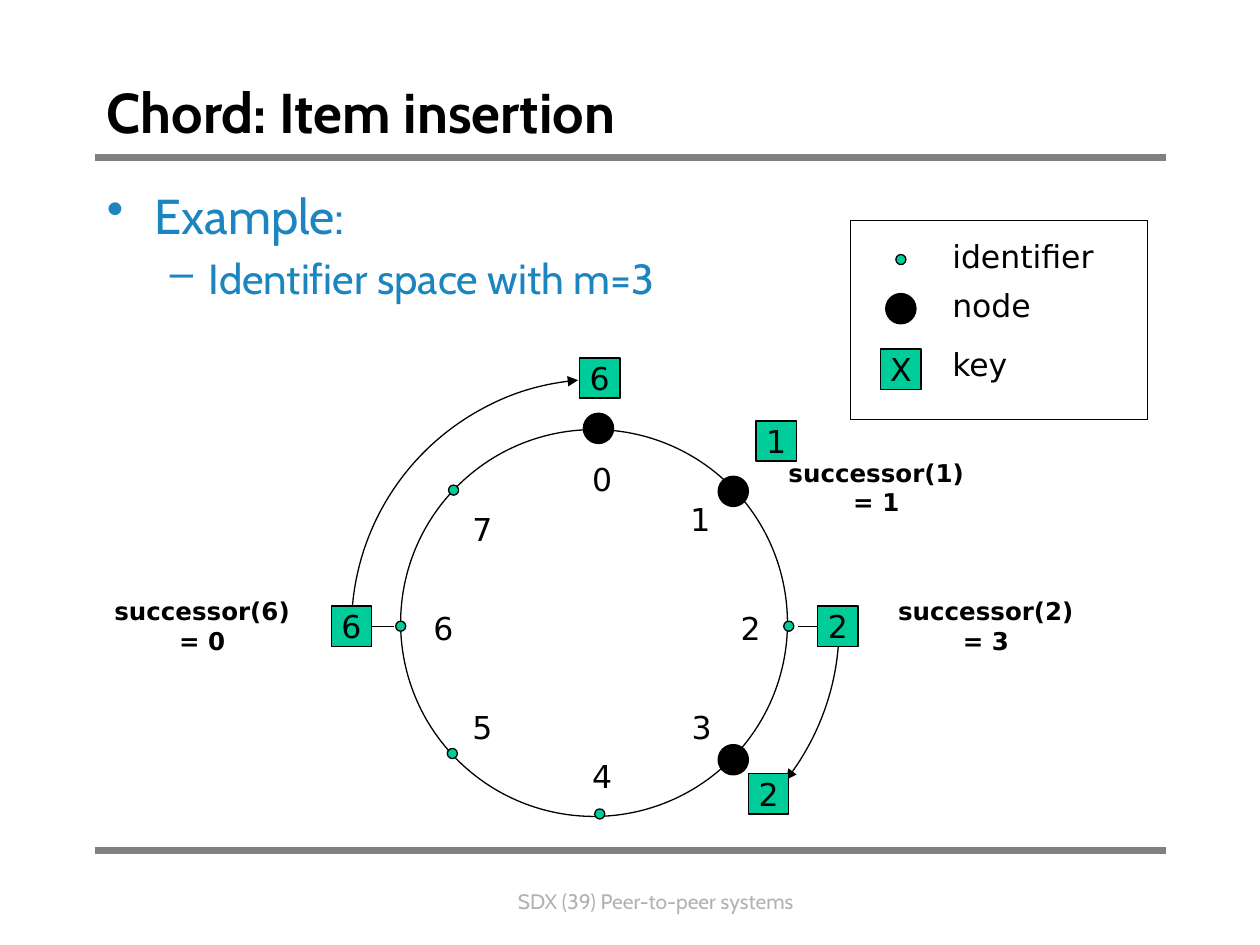
from lxml import etree
from pptx import Presentation
from pptx.dml.color import RGBColor
from pptx.enum.shapes import MSO_CONNECTOR, MSO_SHAPE
from pptx.enum.text import MSO_ANCHOR, PP_ALIGN
from pptx.oxml.ns import qn
from pptx.util import Inches, Pt

STRAIGHT = MSO_CONNECTOR.STRAIGHT
ARC, OVAL, RECTANGLE = MSO_SHAPE.ARC, MSO_SHAPE.OVAL, MSO_SHAPE.RECTANGLE
TOP, MIDDLE = MSO_ANCHOR.TOP, MSO_ANCHOR.MIDDLE
LEFT, CENTER = PP_ALIGN.LEFT, PP_ALIGN.CENTER

HEADING_FONT, DIAGRAM_FONT = "Cabin", "DejaVu Sans"
BLACK, GREEN, BLUE = "000000", "00CC99", "1C85C0"
RULE_GRAY, FOOTER_GRAY = "808080", "B2B2B2"
KEY_SIZE, NODE_SIZE, DOT_SIZE = 0.32, 0.24, 0.08


def color(hex_value):
    return RGBColor.from_string(hex_value)


def style_runs(paragraph, size, font, hex_value, bold=False):
    for run in paragraph.runs:
        run.font.size = Pt(size)
        run.font.name = font
        run.font.bold = bold
        run.font.color.rgb = color(hex_value)


def add_label(slide, text, left, top, width, height, size=18, font=DIAGRAM_FONT,
              hex_value=BLACK, bold=False, align=CENTER, anchor=MIDDLE, wrap=False):
    label = slide.shapes.add_textbox(Inches(left), Inches(top), Inches(width), Inches(height))
    frame = label.text_frame
    frame.text = text
    frame.word_wrap = wrap
    frame.vertical_anchor = anchor
    frame.paragraphs[0].alignment = align
    style_runs(frame.paragraphs[0], size, font, hex_value, bold)


def add_outlined(slide, kind, left, top, width, height, fill=None):
    outlined = slide.shapes.add_shape(kind, Inches(left), Inches(top), Inches(width), Inches(height))
    outlined.shadow.inherit = False
    if fill:
        outlined.fill.solid()
        outlined.fill.fore_color.rgb = color(fill)
    else:
        outlined.fill.background()
    outlined.line.color.rgb = color(BLACK)
    outlined.line.width = Pt(0.75)
    return outlined


def add_circle(slide, x, y, size, fill):
    add_outlined(slide, OVAL, x - size / 2, y - size / 2, size, size, fill)


def add_key(slide, text, left, top):
    key = add_outlined(slide, RECTANGLE, left, top, KEY_SIZE, KEY_SIZE, GREEN)
    frame = key.text_frame
    frame.text = text
    frame.word_wrap = False
    frame.vertical_anchor = MIDDLE
    frame.paragraphs[0].alignment = CENTER
    style_runs(frame.paragraphs[0], 18, DIAGRAM_FONT, BLACK)
    return key


def add_line(slide, x1, y1, x2, y2, hex_value=BLACK, width=0.75):
    line = slide.shapes.add_connector(STRAIGHT, Inches(x1), Inches(y1), Inches(x2), Inches(y2))
    line.line.color.rgb = color(hex_value)
    line.line.width = Pt(width)
    etree.SubElement(line._element.spPr, qn("a:effectLst"))
    return line


def add_arc_arrow(slide, x, y, radius, start, end):
    arc = add_outlined(slide, ARC, x - radius, y - radius, 2 * radius, 2 * radius)
    for index, degrees in enumerate((start, end)):
        arc.adjustments[index] = degrees * 0.6
    etree.SubElement(arc.line._get_or_add_ln(), qn("a:tailEnd"), type="triangle")


def add_frame(slide, left, width):
    for y in (1.25, 6.75):
        add_line(slide, left, y, left + width, y, RULE_GRAY, 4.5)
    add_label(slide, "SDX (39) Peer-to-peer systems", 2.33, 7, 5.75, 0.3, 12,
              HEADING_FONT, FOOTER_GRAY, anchor=TOP, wrap=True)
    add_label(slide, "Chord: Item insertion", left, 0.42, width, 0.92, 32,
              HEADING_FONT, BLACK, bold=True, align=LEFT, wrap=True)


def add_bullets(slide, left, top, width, height):
    body = slide.shapes.add_textbox(Inches(left), Inches(top), Inches(width), Inches(height))
    frame = body.text_frame
    frame.word_wrap = True
    bullets = [("Example:", "•", 28, 0.38, 0.38, 0),
               ("Identifier space with m=3", "–", 24, 0.81, 0.31, 5)]
    for index, (text, mark, size, margin, hanging, gap) in enumerate(bullets):
        paragraph = frame.add_paragraph() if index else frame.paragraphs[0]
        paragraph.text = text
        paragraph.level = index
        paragraph.space_before = Pt(gap)
        properties = paragraph._p.get_or_add_pPr()
        properties.set("marL", str(Inches(margin)))
        properties.set("indent", str(-Inches(hanging)))
        etree.SubElement(properties, qn("a:buChar"), char=mark)
        style_runs(paragraph, size, HEADING_FONT, BLUE)


def add_ring(slide, left, top, size):
    add_outlined(slide, OVAL, left, top, size, size)
    label_centers = [(1.58, 0.39), (2.36, 0.71), (2.76, 1.57), (2.37, 2.36),
                     (1.58, 2.75), (0.63, 2.36), (0.32, 1.57), (0.63, 0.79)]
    for identifier, (x, y) in enumerate(label_centers):
        add_label(slide, str(identifier), left + x - KEY_SIZE / 2, top + y - KEY_SIZE / 2,
                  KEY_SIZE, KEY_SIZE)
    for x, y in [(0.42, 0.48), (0.41, 2.57), (0, 1.56), (3.08, 1.56), (1.58, 3.05)]:
        add_circle(slide, left + x, top + y, DOT_SIZE, GREEN)
    for x, y in [(1.57, -0.01), (2.64, 0.49), (2.64, 2.62)]:
        add_circle(slide, left + x, top + y, NODE_SIZE, BLACK)


def add_keys(slide, left, top):
    add_arc_arrow(slide, left + 1.58, top + 1.57, 1.97, 180, 265)
    add_arc_arrow(slide, left + 1.5, top + 1.56, 1.98, 0, 38)
    for text, x, y in [("6", 1.42, -0.57), ("1", 2.82, -0.07), ("2", 2.76, 2.73)]:
        add_key(slide, text, left + x, top + y)
    for text, x, dot_x, side in [("6", -0.55, -0.05, 3), ("2", 3.31, 3.15, 1)]:
        key = add_key(slide, text, left + x, top + 1.4)
        link = add_line(slide, left + x, top + 1.56, left + dot_x, top + 1.56)
        link.begin_connect(key, side)
    for text, x, y in [("successor(1) = 1", 2.91, 0.3), ("successor(2) = 3", 3.78, 1.4),
                       ("successor(6) = 0", -2.44, 1.4)]:
        add_label(slide, text, left + x, top + y, 1.73, 0.31, 14, bold=True)


def add_legend(slide, left, top, width, height):
    add_outlined(slide, RECTANGLE, left, top, width, height)
    add_circle(slide, left + 0.4, top + 0.31, DOT_SIZE, GREEN)
    add_circle(slide, left + 0.4, top + 0.7, NODE_SIZE, BLACK)
    add_key(slide, "X", left + 0.24, top + 1.02)
    for text, y in [("identifier", 0.16), ("node", 0.55), ("key", 1.02)]:
        add_label(slide, text, left + 0.71, top + y, 1.5, 0.24, align=LEFT, wrap=True)


def main():
    presentation = Presentation()
    presentation.slide_width = Inches(10)
    presentation.slide_height = Inches(7.5)
    slide = presentation.slides.add_slide(presentation.slide_layouts[6])
    add_frame(slide, 0.75, 8.5)
    add_bullets(slide, 0.75, 1.42, 8.5, 5.25)
    add_ring(slide, 3.18, 3.41, 3.07)
    add_keys(slide, 3.18, 3.41)
    add_legend(slide, 6.75, 1.75, 2.36, 1.58)
    presentation.save("out.pptx")


if __name__ == "__main__":
    main()
